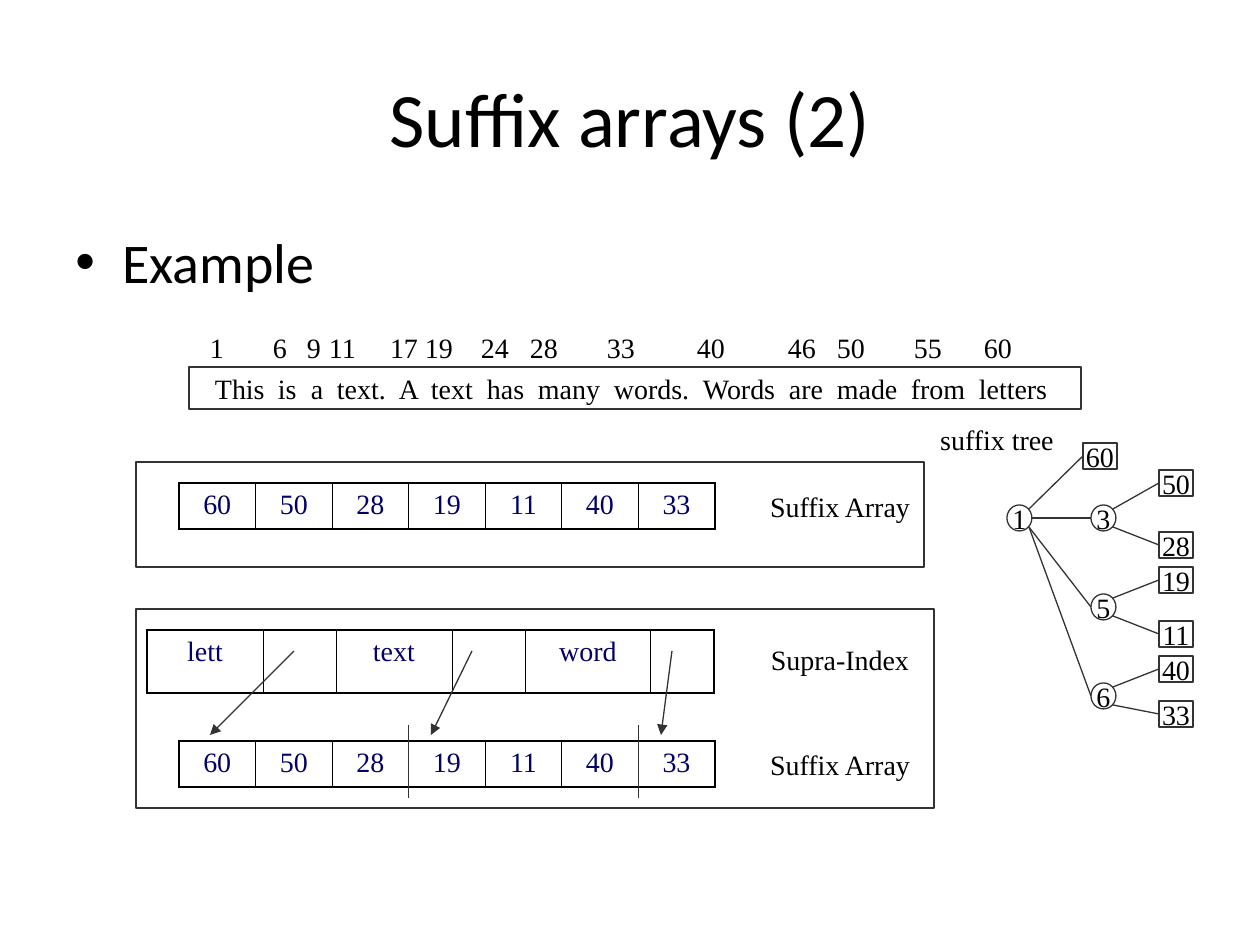
"""Build the slide on suffix arrays, with a supra-index and a suffix tree."""
import pptx
import pptx.dml.color
import pptx.enum.shapes
import pptx.enum.text
import pptx.oxml
import pptx.oxml.ns
import pptx.util
from dataclasses import dataclass

EMU_PER_PX = 914400 // 126
SHAPES = pptx.enum.shapes.MSO_SHAPE
ALIGN = pptx.enum.text.PP_ALIGN
ANCHOR = pptx.enum.text.MSO_ANCHOR


@dataclass(frozen=True)
class Theme:
    ink: str = "000000"
    entry: str = "000066"
    line: str = "333333"
    heading_font: str = "Calibri"
    diagram_font: str = "Times New Roman"
    title_size: int = 44
    bullet_size: int = 32
    diagram_size: int = 16
    line_width: float = 0.75
    inner_border: float = 0.45
    outer_border: float = 1.08


THEME = Theme()
TITLE = "Suffix arrays (2)"
BULLET = "Example"
OFFSETS = [("1", 210), ("6", 273), ("9", 307), ("11", 329), ("17", 390),
           ("19", 425), ("24", 481), ("28", 530), ("33", 607), ("40", 697),
           ("46", 788), ("50", 837), ("55", 914), ("60", 984)]
WORDS = [("This", 215), ("is", 278), ("a", 311), ("text.", 337), ("A", 399),
         ("text", 431), ("has", 487), ("many", 538), ("words.", 614),
         ("Words", 703), ("are", 789), ("made", 837), ("from", 911),
         ("letters", 979)]
SUFFIXES = ["60", "50", "28", "19", "11", "40", "33"]
SUPRA_INDEX = [("lett", 116), ("", 73), ("text", 116), ("", 73), ("word", 126), ("", 63)]
SUFFIX_LEFT, SUFFIX_WIDTH, ROW_HEIGHT = 179, 536, 46
SUFFIX_TOPS = [483, 741]
BLOCK_ENDS = [3, 6]
POINTERS = [((294, 651), (210, 735)), ((472, 651), (431, 735)), ((672, 651), (661, 735))]
FRAMES = [(136, 462, 788, 105), (136, 609, 798, 199)]
LABELS = [("Suffix Array", (756, 483, 168, 46)), ("Suffix Array", (756, 741, 168, 46)),
          ("Supra-Index", (758, 636, 164, 46)), ("suffix tree", (924, 416, 146, 46))]
NODES = {"1": (1007, 505), "3": (1091, 505), "5": (1091, 594), "6": (1091, 683)}
LEAVES = {"60": (1083, 443), "50": (1159, 470), "28": (1159, 532), "19": (1159, 567),
          "11": (1159, 621), "40": (1159, 656), "33": (1159, 701)}
BRANCHES = {"1": ["60", "3", "5", "6"], "3": ["50", "28"], "5": ["19", "11"], "6": ["40", "33"]}
NODE_WIDTH, LEAF_WIDTH, NODE_HEIGHT = 25, 34, 26
CORNER_X, CORNER_Y = 22, 9


def px(*lengths):
    return [pptx.util.Emu(round(length * EMU_PER_PX)) for length in lengths]


def color(value):
    return pptx.dml.color.RGBColor.from_string(value)


def add_span(para, text, size=THEME.diagram_size, font=THEME.diagram_font, ink=THEME.ink):
    span = para.add_run()
    span.text = text
    span.font.size = pptx.util.Pt(size)
    span.font.name = font
    span.font.color.rgb = color(ink)


def add_label(shapes, text, area):
    box = shapes.add_textbox(*px(*area))
    box.text_frame.word_wrap = False
    para = box.text_frame.paragraphs[0]
    para.alignment = ALIGN.CENTER
    add_span(para, text)


def add_outline(shapes, kind, area, text=""):
    shape = shapes.add_shape(kind, *px(*area))
    shape.shadow.inherit = False
    shape.fill.background()
    shape.line.color.rgb = color(THEME.line)
    shape.line.width = pptx.util.Pt(THEME.line_width)
    if text:
        frame = shape.text_frame
        frame.word_wrap = False
        frame.vertical_anchor = ANCHOR.MIDDLE
        frame.paragraphs[0].alignment = ALIGN.CENTER
        add_span(frame.paragraphs[0], text)
    return shape


def add_line(shapes, start, end, arrow=False):
    line = shapes.add_connector(pptx.enum.shapes.MSO_CONNECTOR.STRAIGHT, *px(*start, *end))
    line.line.color.rgb = color(THEME.line)
    line.line.width = pptx.util.Pt(THEME.line_width)
    properties = line._element.spPr
    if arrow:
        tail = pptx.oxml.parse_xml(f'<a:tailEnd {pptx.oxml.ns.nsdecls("a")} type="triangle"/>')
        line.line._get_or_add_ln().append(tail)
    properties.append(pptx.oxml.parse_xml(f'<a:effectLst {pptx.oxml.ns.nsdecls("a")}/>'))
    return line


def fill_tabbed_row(shape, items):
    first = items[0][1]
    frame = shape.text_frame
    frame.word_wrap = True
    frame.vertical_anchor = ANCHOR.MIDDLE
    frame.margin_left = px(first)[0] - shape.left
    frame.margin_right = 0
    para = frame.paragraphs[0]
    para.alignment = ALIGN.LEFT
    stops = "".join(f'<a:tab pos="{px(x - first)[0]}" algn="l"/>' for _, x in items[1:])
    para._p.get_or_add_pPr().append(pptx.oxml.parse_xml(
        f'<a:tabLst {pptx.oxml.ns.nsdecls("a")}>{stops}</a:tabLst>'))
    add_span(para, "\t".join(text for text, _ in items))


def add_border(cell, side, width):
    cell._tc.get_or_add_tcPr().append(pptx.oxml.parse_xml(
        f'<a:{side} {pptx.oxml.ns.nsdecls("a")} w="{pptx.util.Pt(width)}"><a:solidFill>'
        f'<a:srgbClr val="{THEME.ink}"/></a:solidFill></a:{side}>'))


def add_row_table(shapes, left, top, height, entries):
    total = sum(width for _, width in entries)
    table = shapes.add_table(1, len(entries), *px(left, top, total, height)).table
    table.first_row = table.horz_banding = False
    last = len(entries) - 1
    for index, (text, width) in enumerate(entries):
        table.columns[index].width = px(width)[0]
        cell = table.cell(0, index)
        outer, inner = THEME.outer_border, THEME.inner_border
        add_border(cell, "lnL", outer if index == 0 else inner)
        add_border(cell, "lnR", outer if index == last else inner)
        add_border(cell, "lnT", outer)
        add_border(cell, "lnB", outer)
        cell.fill.background()
        if text:
            para = cell.text_frame.paragraphs[0]
            para.alignment = ALIGN.CENTER
            add_span(para, text, ink=THEME.entry)


def add_tree(shapes):
    for text, place in NODES.items():
        add_outline(shapes, SHAPES.OVAL, (*place, NODE_WIDTH, NODE_HEIGHT), text)
    leaves = {text: add_outline(shapes, SHAPES.RECTANGLE, (*place, LEAF_WIDTH, NODE_HEIGHT), text)
              for text, place in LEAVES.items()}
    places = NODES | LEAVES
    for parent, children in BRANCHES.items():
        left, top = NODES[parent]
        for child in children:
            x, y = places[child]
            side = (y > top) - (y < top)
            start = (left + (CORNER_X if side else NODE_WIDTH),
                     top + NODE_HEIGHT / 2 + side * CORNER_Y)
            line = add_line(shapes, start, (x, y + NODE_HEIGHT / 2))
            if child in leaves:
                line.end_connect(leaves[child], 1)


def main():
    deck = pptx.Presentation()
    deck.slide_width, deck.slide_height = px(1260, 945)
    page = deck.slides.add_slide(deck.slide_layouts[5])
    shapes = page.shapes

    title = shapes.title
    title.left, title.top, title.width, title.height = px(63, 38, 1134, 157)
    title.text_frame.vertical_anchor = ANCHOR.MIDDLE
    para = title.text_frame.paragraphs[0]
    para.alignment = ALIGN.CENTER
    add_span(para, TITLE, THEME.title_size, THEME.heading_font)

    body = shapes.add_textbox(*px(63, 221, 1134, 80))
    body.text_frame.word_wrap = True
    para = body.text_frame.paragraphs[0]
    properties = para._p.get_or_add_pPr()
    indent = px(47)[0]
    properties.set("marL", str(indent))
    properties.set("indent", str(-indent))
    for bullet in ('buFont {} typeface="Arial"', 'buChar {} char="•"'):
        properties.append(pptx.oxml.parse_xml(f'<a:{bullet.format(pptx.oxml.ns.nsdecls("a"))}/>'))
    add_span(para, BULLET, THEME.bullet_size, THEME.heading_font)

    fill_tabbed_row(add_outline(shapes, SHAPES.RECTANGLE, (189, 367, 892, 42)), WORDS)
    fill_tabbed_row(shapes.add_textbox(*px(189, 326, 892, 42)), OFFSETS)

    cell_width = SUFFIX_WIDTH / len(SUFFIXES)
    for top in SUFFIX_TOPS:
        add_row_table(shapes, SUFFIX_LEFT, top, ROW_HEIGHT, [(text, cell_width) for text in SUFFIXES])
    add_row_table(shapes, 147, 630, 63, SUPRA_INDEX)
    for start, end in POINTERS:
        add_line(shapes, start, end, arrow=True)
    for count in BLOCK_ENDS:
        x = SUFFIX_LEFT + count * cell_width
        add_line(shapes, (x, 725), (x, 798))
    for area in FRAMES:
        add_outline(shapes, SHAPES.RECTANGLE, area)
    for text, area in LABELS:
        add_label(shapes, text, area)
    add_tree(shapes.add_group_shape().shapes)
    deck.save("out.pptx")


if __name__ == "__main__":
    main()
